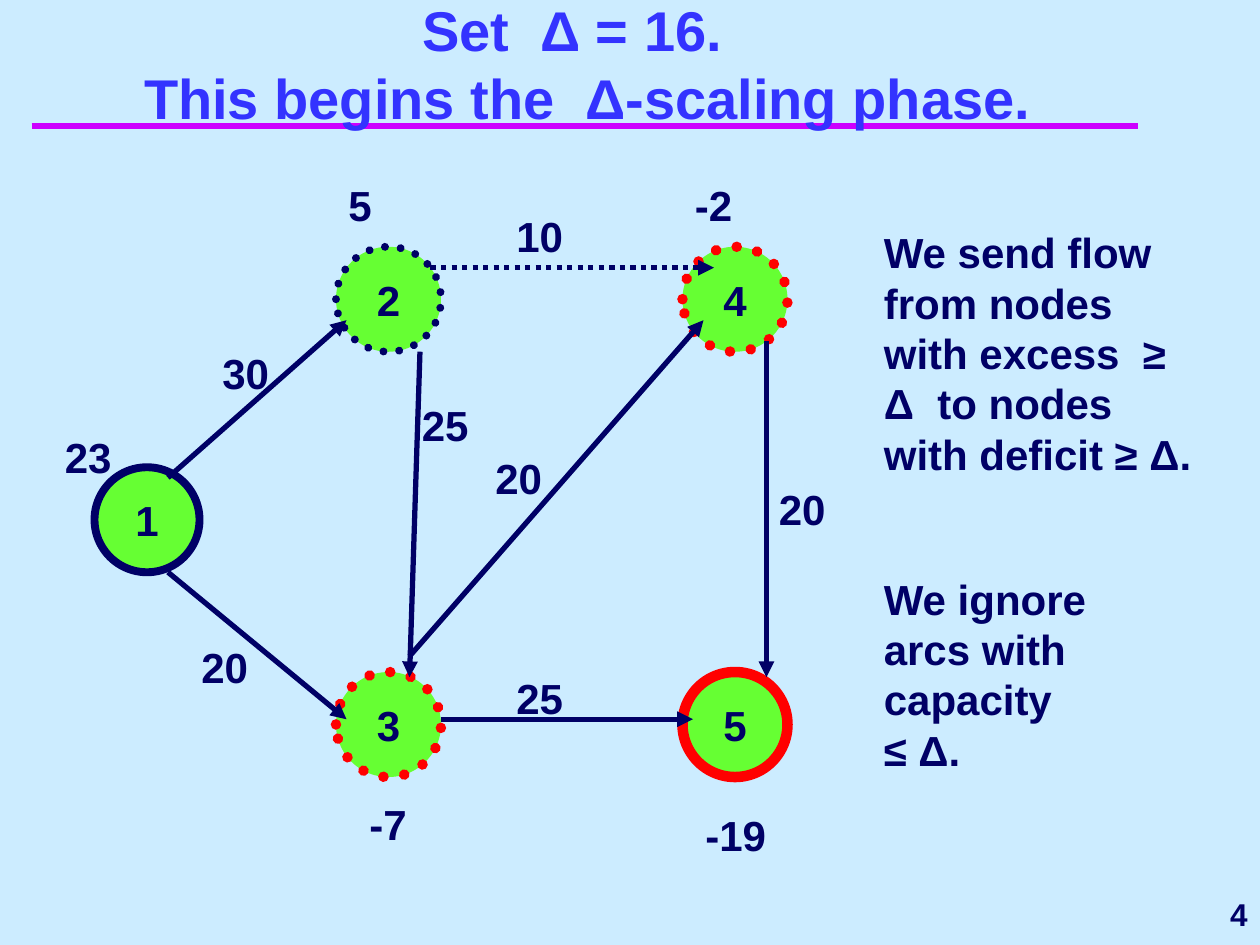
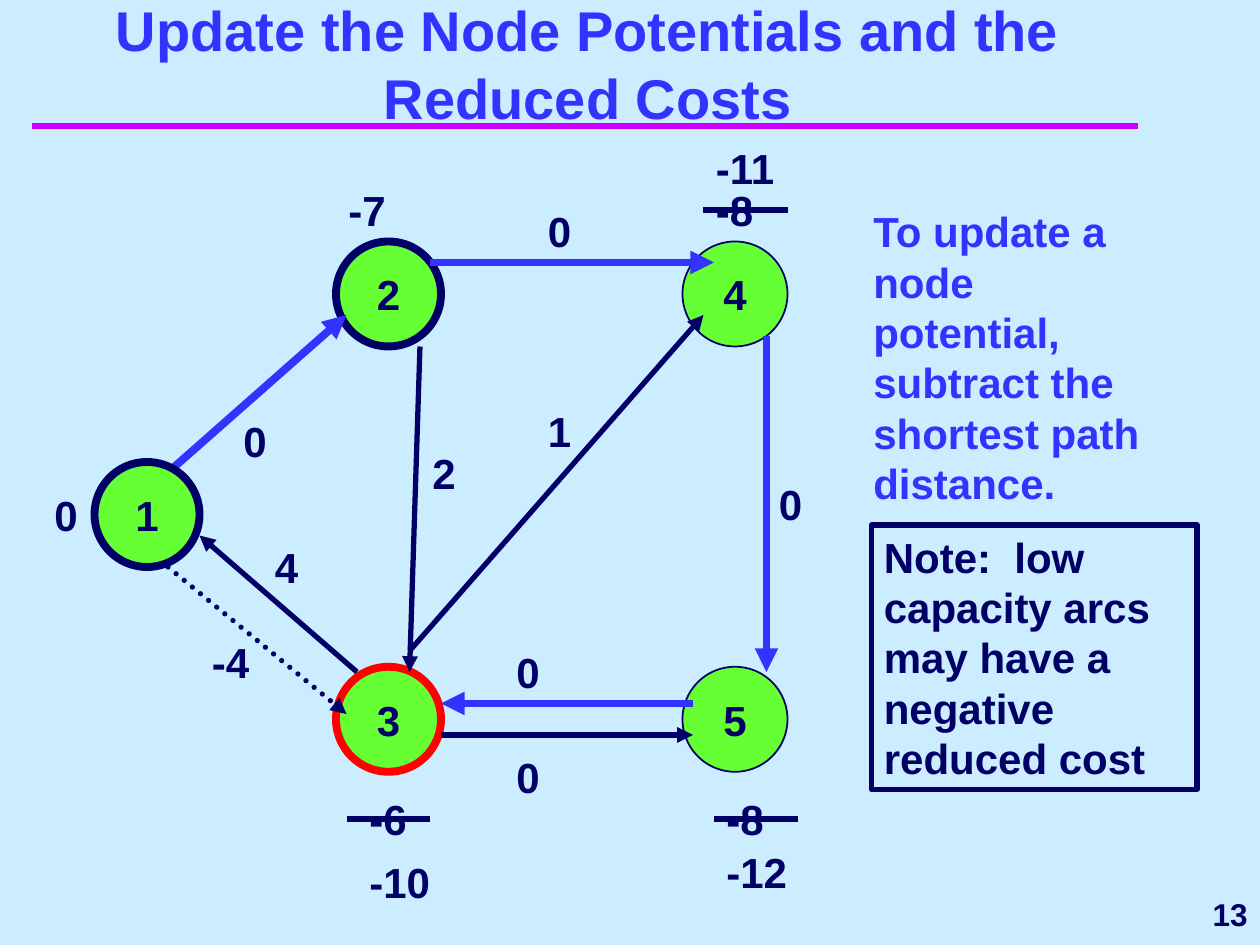
from lxml.etree import SubElement
from pptx import Presentation
from pptx.dml.color import RGBColor
from pptx.enum.dml import MSO_LINE
from pptx.enum.shapes import MSO_CONNECTOR, MSO_SHAPE
from pptx.enum.text import MSO_ANCHOR as Anchor, PP_ALIGN as Align
from pptx.oxml.ns import qn
from pptx.util import Inches, Pt

COLORS = {
    "background": "CCECFF",
    "rule": "CC00FF",
    "accent": "3333FF",
    "ink": "000066",
    "node": "66FF33",
    "deficit": "FF0000",
}
FONT = "Arial"
CELLS_PER_INCH = 12
COLUMNS, ROWS = 120, 90
NODE_SIZE = 10
LABEL_HEIGHT = 6

# The network in grid cells: top left of each node, start and end of each arc
NODES = {"1": (9, 44), "2": (32, 23), "3": (32, 63.5), "4": (65, 23), "5": (65, 63.5)}
ARCS = {
    "1-2": (16, 45, 33, 30),
    "2-4": (41, 25, 68, 25),
    "4-5": (73, 32, 73, 64),
    "3-4": (39, 62, 67, 30),
    "1-3": (16, 54, 33, 68),
    "3-5": (42, 68, 66, 68),
    "3-5 lower": (42, 70, 66, 70),
    "2-3": (40, 33, 39, 64),
    "3-1": (34, 64, 19, 51),
    "5-3": (66, 67, 42, 67),
}


def cells(*counts):
    return [Inches(count / CELLS_PER_INCH) for count in counts]


def color(name):
    return RGBColor.from_string(COLORS[name])


def style_line(shape, name, width, dots=None):
    """Set an outline; dots is None, "square" or "round"."""
    shape.line.color.rgb = color(name)
    shape.line.width = Pt(width)
    if dots:
        shape.line.dash_style = MSO_LINE.ROUND_DOT
    if dots == "round":
        shape.line._get_or_add_ln().set("cap", "rnd")


def write(shape, text, size=24, fill="ink", align=Align.LEFT, anchor=Anchor.TOP, wrap=True):
    """Fill a shape with one paragraph; a vertical tab breaks the line."""
    frame = shape.text_frame
    frame.word_wrap = wrap
    frame.vertical_anchor = anchor
    paragraph = frame.paragraphs[0]
    paragraph.text = text
    paragraph.alignment = align
    for run in paragraph.runs:
        run.font.name = FONT
        run.font.size = Pt(size)
        run.font.bold = True
        run.font.color.rgb = color(fill)


def add_text(slide, text, column, row, width, height=LABEL_HEIGHT, **text_format):
    box = slide.shapes.add_textbox(*cells(column, row, width, height))
    write(box, text, **text_format)
    return box


def add_labels(slide, labels):
    for text, column, row, width in labels:
        add_text(slide, text, column, row, width)


def add_line(slide, start_column, start_row, end_column, end_row,
             name="ink", width=3, dots=None, arrow=False):
    line = slide.shapes.add_connector(
        MSO_CONNECTOR.STRAIGHT, *cells(start_column, start_row, end_column, end_row))
    style_line(line, name, width, dots)
    properties = line._element.spPr
    if arrow:
        SubElement(properties.find(qn("a:ln")), qn("a:tailEnd"), type="triangle")
    SubElement(properties, qn("a:effectLst"))


def add_arc(slide, arc, shift=0, **line_format):
    start_column, start_row, end_column, end_row = ARCS[arc]
    add_line(slide, start_column, start_row + shift, end_column, end_row + shift,
             arrow=True, **line_format)


def add_node(slide, number, shift=0, name="ink", width=4.5, dots=None):
    column, row = NODES[number]
    node = slide.shapes.add_shape(
        MSO_SHAPE.OVAL, *cells(column, row + shift, NODE_SIZE, NODE_SIZE))
    node.shadow.inherit = False
    node.fill.solid()
    node.fill.fore_color.rgb = color("node")
    style_line(node, name, width, dots)
    write(node, number, align=Align.CENTER, anchor=Anchor.MIDDLE, wrap=False)


def add_slide(presentation, title, number):
    """Add a slide with the shared background, rule, title and page number."""
    slide = presentation.slides.add_slide(presentation.slide_layouts[6])
    slide.background.fill.solid()
    slide.background.fill.fore_color.rgb = color("background")
    add_line(slide, 3, 12, 108.4, 12, name="rule", width=4)
    add_text(slide, title, 5, 8, 102, 5, size=32, fill="accent",
             align=Align.CENTER, anchor=Anchor.BOTTOM)
    add_text(slide, str(number), COLUMNS - 23, ROWS - LABEL_HEIGHT, 23, size=18,
             align=Align.RIGHT, anchor=Anchor.MIDDLE)
    return slide


def add_scaling_slide(presentation):
    slide = add_slide(presentation, "Set  Δ = 16.  \vThis begins the  Δ-scaling phase.", 4)
    shift = 0.5
    deficit = {"name": "deficit", "width": 6}
    add_node(slide, "1", shift)
    add_node(slide, "2", shift, dots="round")
    add_node(slide, "3", shift, dots="round", **deficit)
    add_node(slide, "5", shift, **deficit)
    add_node(slide, "4", shift, dots="round", **deficit)

    add_arc(slide, "2-4", shift, dots="square")
    for arc in ("1-2", "4-5", "3-4", "1-3", "3-5", "2-3"):
        add_arc(slide, arc, shift)

    capacities = [
        ("10", 48, 19.5, 14), ("20", 73, 45.5, 14), ("20", 46, 42.5, 14),
        ("25", 48, 63.5, 14), ("25", 39, 37.5, 14), ("20", 18, 60.5, 8),
        ("30", 20, 32.5, 14),
    ]
    excesses = [
        ("23", 5, 40.5, 9), ("5", 32, 16.5, 9), ("-2", 65, 16.5, 9),
        ("-7", 34, 75.5, 9), ("-19", 66, 76.5, 9),
    ]
    add_labels(slide, capacities + excesses)
    add_text(slide, "We send flow from nodes with excess  ≥ Δ  to nodes with deficit ≥ Δ.",
             83, 21, 32, 30)
    add_text(slide, "We ignore arcs with capacity \v≤ Δ.", 83, 54, 30, 20.4)


def add_potentials_slide(presentation):
    slide = add_slide(presentation, "Update the Node Potentials and the Reduced Costs", 13)
    shortest_path = {"name": "accent", "width": 4.5}
    add_node(slide, "2")
    add_node(slide, "3", name="deficit")
    add_node(slide, "5", width=1)
    add_node(slide, "4", width=1)

    for arc in ("1-2", "2-4", "4-5"):
        add_arc(slide, arc, **shortest_path)
    add_arc(slide, "1-3", dots="round")
    for arc in ("3-4", "3-5 lower", "2-3"):
        add_arc(slide, arc)
    add_node(slide, "1")  # covers the tails of its outgoing arcs
    add_arc(slide, "3-1")
    add_arc(slide, "5-3", **shortest_path)

    reduced_costs = [
        ("0", 73, 45, 5), ("0", 22, 39, 14), ("4", 25, 51, 14), ("0", 48, 61, 14),
        ("2", 40, 42, 14), ("0", 51, 19, 14), ("0", 48, 71, 14), ("1", 51, 38, 14),
        ("-4", 19, 60, 14),
    ]
    old_potentials = [
        ("0", 4, 46, 8), ("-7", 32, 17, 8), ("-8", 67, 17, 8),
        ("-8", 68, 75, 8), ("-6", 34, 75, 8),
    ]
    new_potentials = [("-11", 67, 13, 11), ("-12", 68, 80, 11), ("-10", 34, 81, 11)]
    add_labels(slide, reduced_costs + old_potentials + new_potentials)
    for column, row in ((67, 20), (68, 78), (33, 78)):
        add_line(slide, column, row, column + 8, row)

    add_text(slide, "To update a node potential, subtract the shortest path distance.",
             82, 19, 29, 30, fill="accent")
    note = add_text(slide, "Note:  low capacity arcs may have a negative reduced cost",
                    83, 50, 31, 25.2)
    style_line(note, "ink", 3)


def main():
    presentation = Presentation()
    presentation.slide_width, presentation.slide_height = cells(COLUMNS, ROWS)
    add_scaling_slide(presentation)
    add_potentials_slide(presentation)
    presentation.save("out.pptx")


if __name__ == "__main__":
    main()
